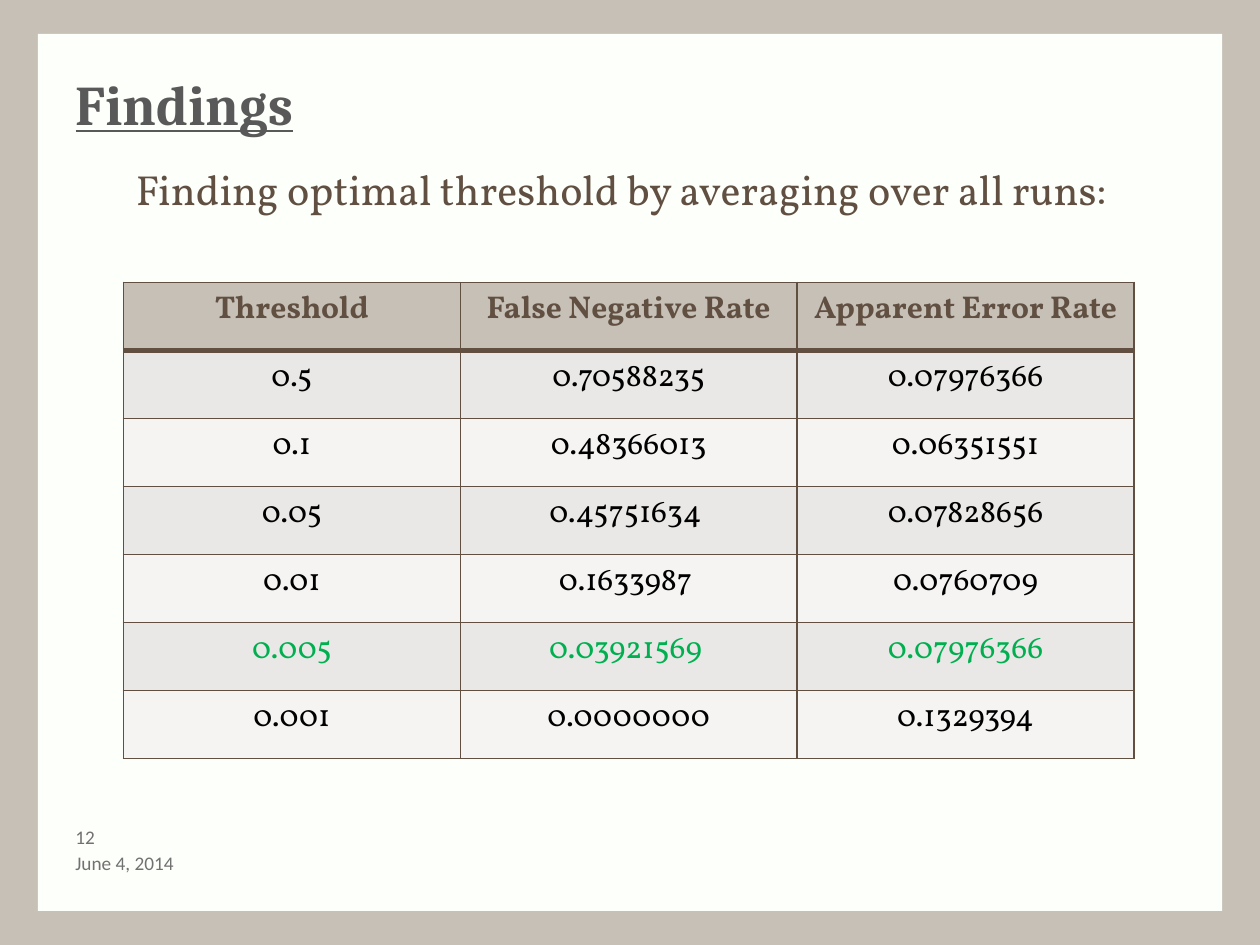
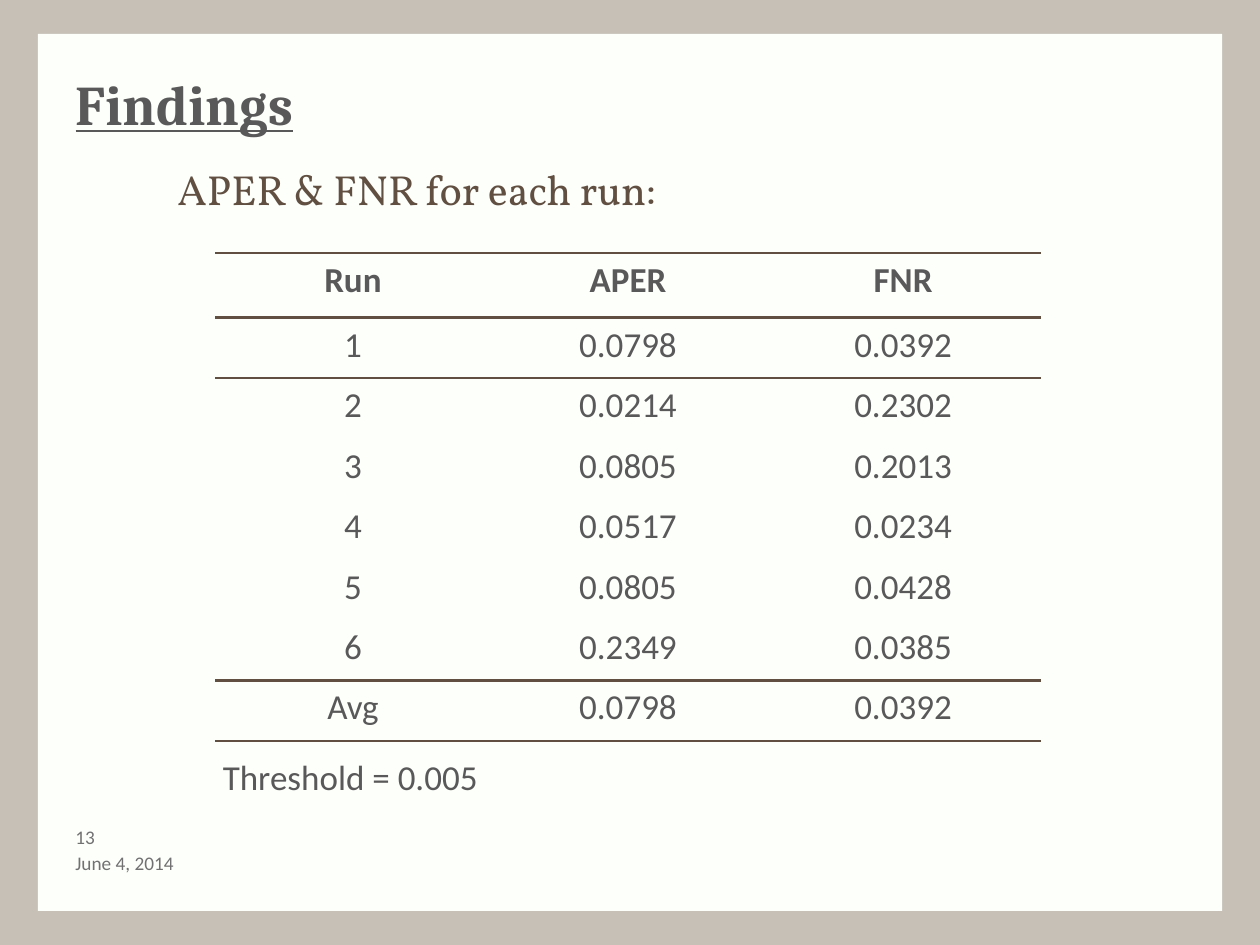
from lxml import etree
from pptx import Presentation
from pptx.dml.color import RGBColor
from pptx.enum.shapes import MSO_SHAPE
from pptx.enum.text import MSO_ANCHOR, MSO_AUTO_SIZE, PP_ALIGN
from pptx.oxml.ns import qn
from pptx.util import Inches, Pt

RECT = MSO_SHAPE.RECTANGLE
TOP, MIDDLE = MSO_ANCHOR.TOP, MSO_ANCHOR.MIDDLE
LEFT, CENTER = PP_ALIGN.LEFT, PP_ALIGN.CENTER
NO_FIT = MSO_AUTO_SIZE.NONE

STONE = RGBColor(0xC6, 0xC0, 0xB7)
PAPER = RGBColor(0xFD, 0xFF, 0xFB)
BROWN = RGBColor(0x61, 0x50, 0x42)
GREY = RGBColor(0x59, 0x59, 0x59)
FOOTER_GREY = RGBColor(0x71, 0x71, 0x71)
BLACK = RGBColor(0, 0, 0)
GREEN = RGBColor(0x00, 0xB0, 0x50)
BAND_DARK = RGBColor(0xEA, 0xE8, 0xE6)
BAND_LIGHT = RGBColor(0xF5, 0xF4, 0xF3)

HEAD_FONT, BODY_FONT, TEXT_FONT = "Cambria", "Calibri", "Vollkorn"
PLAIN_TABLE = "{2D5ABB26-0587-4C30-8999-92F81FD0307C}"

THRESHOLDS = [
    ("Threshold", "False Negative Rate", "Apparent Error Rate"),
    ("0.5", "0.70588235", "0.07976366"),
    ("0.1", "0.48366013", "0.06351551"),
    ("0.05", "0.45751634 ", "0.07828656"),
    ("0.01", "0.1633987 ", "0.0760709"),
    ("0.005", "0.03921569 ", "0.07976366"),
    ("0.001", "0.0000000", "0.1329394"),
]
BEST = "0.005"
RUNS = [
    ("Run", "APER", "FNR"),
    ("1", "0.0798", "0.0392"),
    ("2", "0.0214", "0.2302"),
    ("3", "0.0805", "0.2013"),
    ("4", "0.0517", "0.0234"),
    ("5", "0.0805", "0.0428"),
    ("6", "0.2349", "0.0385"),
    ("Avg", "0.0798", "0.0392"),
]

# Per slide: number, lead-in, its box, table rows, table box
PAGES = [
    ("12", "Finding optimal threshold by averaging over all runs:",
     (0.98, 1.25, 8.02, 0.91), THRESHOLDS, (0.98, 2.24, 8.02, 3.78)),
    ("13", "APER & FNR for each run:",
     (1.31, 1.25, 7.33, 0.5), RUNS, (1.71, 2.01, 6.55, 3.87)),
]


def write(tf, text, font, size, color, bold=False, align=LEFT):
    p = tf.paragraphs[0]
    p.alignment = align
    r = p.add_run()
    r.text = text
    r.font.name, r.font.size, r.font.bold = font, Pt(size), bold
    r.font.color.rgb = color
    return r


def add_text(slide, box, text, font, size, color):
    tf = slide.shapes.add_textbox(*map(Inches, box)).text_frame
    tf.word_wrap = True
    write(tf, text, font, size, color)
    return tf


prs = Presentation()
prs.slide_width, prs.slide_height = Inches(10), Inches(7.5)
master = prs.slide_master
master.background.fill.solid()
master.background.fill.fore_color.rgb = STONE

slides = []
for number, lead, lead_box, rows, table_box in PAGES:
    s = prs.slides.add_slide(prs.slide_layouts[5])
    slides.append(s)

    # Title
    title = s.shapes.title
    title.left, title.top = Inches(0.5), Inches(0.5)
    title.width, title.height = Inches(9), Inches(0.75)
    tf = title.text_frame
    tf.vertical_anchor, tf.auto_size = TOP, NO_FIT
    write(tf, "Findings", HEAD_FONT, 32, GREY, bold=True).font.underline = True

    # Table
    x, y, w, h = map(Inches, table_box)
    frame = s.shapes.add_table(len(rows), 3, x, y, w, h)
    table = frame.table
    table._tbl.tblPr.find(qn("a:tableStyleId")).text = PLAIN_TABLE
    last = len(rows) - 1
    for i, row in enumerate(rows):
        head = i == 0
        if rows is THRESHOLDS:
            font, size = TEXT_FONT, 18
            color = BROWN if head else GREEN if row[0] == BEST else BLACK
            fill = STONE if head else BAND_DARK if i % 2 else BAND_LIGHT
            top, bottom = 3 if i == 1 else 1, 3 if head else 1
            borders = {"L": 1, "R": 1, "T": top, "B": bottom}
            table.rows[i].height = Inches(0.54)
        else:
            font, size, color, fill = BODY_FONT, 20, GREY, None
            rules = {0: (1.5, 1.5), 1: (1.5, 0), last - 1: (0, 2.25), last: (2.25, 1.5)}
            top, bottom = rules.get(i, (0, 0))
            borders = {"L": 0, "R": 0, "T": top, "B": bottom}
            table.rows[i].height = Inches(0.51 if head else 0.48)
        for j, value in enumerate(row):
            cell = table.cell(i, j)
            write(cell.text_frame, value, font, size, color, head, CENTER)
            tcPr = cell._tc.get_or_add_tcPr()
            for side, width in borders.items():
                if width:
                    ln = etree.SubElement(tcPr, qn("a:ln" + side), w=str(Pt(width)))
                    solid = etree.SubElement(ln, qn("a:solidFill"))
                    etree.SubElement(solid, qn("a:srgbClr"), val=str(BROWN))
            if fill is None:
                cell.fill.background()
            else:
                cell.fill.solid()
                cell.fill.fore_color.rgb = fill

    # Date and slide number
    tf = add_text(s, (0.5, 6.75, 2, 0.2), "June 4, 2014", BODY_FONT, 11, FOOTER_GREY)
    tf.margin_top = tf.margin_bottom = 0
    tf.vertical_anchor = MIDDLE
    tf = add_text(s, (0.5, 6.55, 0.4, 0.2), number, BODY_FONT, 11, FOOTER_GREY)
    tf.margin_top = tf.margin_bottom = tf.margin_right = 0

    # Lead-in
    add_text(s, lead_box, lead, TEXT_FONT, 24, BROWN)

# Note under the table of runs
add_text(slides[1], (1.67, 5.95, 2.34, 0.4), "Threshold = 0.005", BODY_FONT, 20, GREY)

# Paper panel, moved to the master so that every slide shares it
panel = slides[0].shapes.add_shape(RECT, Inches(0.3), Inches(0.27), Inches(9.4), Inches(6.96))
panel.shadow.inherit = False
panel.fill.solid()
panel.fill.fore_color.rgb = PAPER
panel.line.fill.background()
master.shapes._spTree.insert(2, panel._element)

prs.save("out.pptx")
